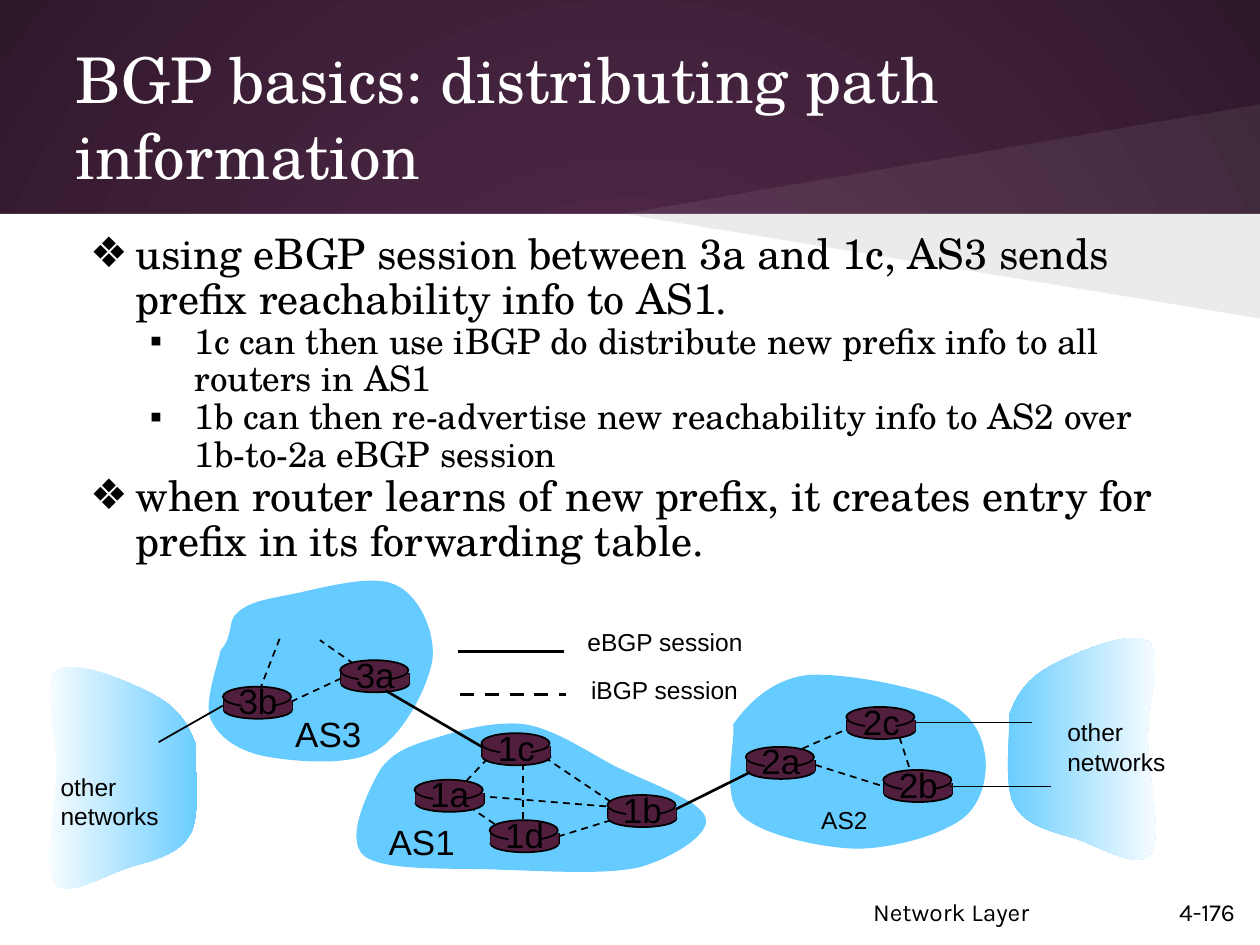
from dataclasses import dataclass

from lxml import etree
from pptx import Presentation, oxml
from pptx.dml import color
from pptx.enum import dml, shapes, text
from pptx.oxml import ns
from pptx.util import Pt


@dataclass(frozen=True)
class Theme:
    plum: str = "592D50"
    night: str = "30182B"
    router: str = "511E3E"
    sky: str = "66CCFF"
    white: str = "FFFFFF"
    black: str = "000000"
    serif: str = "TeX Gyre Schola"
    sans: str = "Arial"
    footer: str = "Karla"
    title_size: int = 36
    body_sizes: tuple = (24, 20)
    label_size: int = 20
    small_size: int = 14


THEME = Theme()

# Outlines: a start point, then three points for each Bezier curve
CLOUD = [(5, 68), (11, 52), (19, 40), (37, 30), (55, 20), (102, 0), (115, 10),
         (128, 19), (114, 60), (115, 88), (115, 117), (127, 166), (117, 179),
         (108, 192), (77, 173), (59, 167), (40, 161), (18, 157), (9, 140),
         (0, 124), (6, 83), (5, 68)]
AS1 = [(28, 40), (38, 24), (55, 19), (75, 13), (94, 7), (121, 0), (144, 3),
       (167, 7), (189, 22), (213, 35), (236, 47), (284, 63), (287, 77),
       (291, 90), (260, 109), (234, 116), (207, 122), (163, 119), (127, 118),
       (91, 116), (33, 120), (16, 107), (0, 94), (19, 56), (28, 40)]
AS2 = [(10, 42), (21, 26), (40, 7), (67, 3), (94, 0), (148, 11), (172, 20),
       (196, 30), (206, 46), (209, 62), (213, 78), (209, 104), (192, 117),
       (175, 130), (137, 141), (107, 141), (78, 140), (32, 130), (16, 114),
       (0, 98), (12, 57), (10, 42)]
AS3 = [(13, 62), (24, 49), (18, 38), (27, 31), (36, 23), (48, 21), (68, 17),
       (89, 13), (132, 0), (151, 9), (170, 17), (183, 46), (181, 68),
       (178, 90), (158, 129), (136, 142), (114, 155), (68, 150), (47, 146),
       (25, 141), (11, 130), (5, 116), (0, 102), (11, 73), (13, 62)]


def rgb(value):
    return color.RGBColor.from_string(value)


def paint(shape, fill, line=None, alpha=None):
    shape.shadow.inherit = False
    shape.fill.solid()
    shape.fill.fore_color.rgb = rgb(fill)
    if alpha:
        solid = shape.element.spPr.find(ns.qn("a:solidFill"))
        etree.SubElement(solid[0], ns.qn("a:alpha"), val=str(alpha * 1000))
    if line:
        shape.line.color.rgb = rgb(line)
        shape.line.width = Pt(1)
    else:
        shape.line.fill.background()


def add_preset(parent, kind, box, fill, line=None):
    shape = parent.shapes.add_shape(kind, *map(Pt, box))
    paint(shape, fill, line)


def add_polygon(slide, points):
    points = [(Pt(x), Pt(y)) for x, y in points]
    builder = slide.shapes.build_freeform(*points[0])
    builder.add_line_segments(points[1:])
    return builder.convert_to_shape()


def add_blob(slide, box, outline, mirrored=False):
    """Draw the Bezier outline, stretched to fill the box."""
    left, top, width, height = box
    grid = [max(axis) for axis in zip(*outline)]
    if mirrored:
        outline = [(grid[0] - x, y) for x, y in outline]
    shape = add_polygon(slide, [(left + x * width / grid[0], top + y * height / grid[1])
                                for x, y in outline])
    # Join each three straight segments into one curve
    segments = list(shape.element.iter(ns.qn("a:lnTo")))
    for first in range(0, len(outline) - 1, 3):
        curve = etree.Element(ns.qn("a:cubicBezTo"))
        segments[first].addprevious(curve)
        for segment in segments[first:first + 3]:
            curve.append(segment[0])
            segment.getparent().remove(segment)
    return shape


def add_line(parent, start, end, width=1, dashed=False, origin=(0, 0)):
    ends = [Pt(value + shift) for point in (start, end)
            for value, shift in zip(point, origin)]
    line = parent.shapes.add_connector(shapes.MSO_CONNECTOR.STRAIGHT, *ends)
    line.line.color.rgb = rgb(THEME.black)
    line.line.width = Pt(width)
    if dashed:
        line.line.dash_style = dml.MSO_LINE.DASH
    etree.SubElement(line.element.spPr, ns.qn("a:effectLst"))


def style(font, name, size, ink):
    font.name, font.size, font.color.rgb = name, Pt(size), rgb(ink)


def add_label(parent, box, lines, size=THEME.small_size, name=THEME.sans, align=None):
    frame = parent.shapes.add_textbox(*map(Pt, box)).text_frame
    frame.word_wrap = False
    frame.auto_size = text.MSO_AUTO_SIZE.SHAPE_TO_FIT_TEXT
    for index, line in enumerate(lines):
        paragraph = frame.add_paragraph() if index else frame.paragraphs[0]
        paragraph.alignment = align
        run = paragraph.add_run()
        run.text = line
        style(run.font, name, size, THEME.black)


def place_placeholder(placeholder, box):
    tree = placeholder.element.getparent()
    tree.append(placeholder.element)  # bring in front of the backdrop
    placeholder.left, placeholder.top, placeholder.width, placeholder.height = map(Pt, box)
    frame = placeholder.text_frame
    frame.auto_size = text.MSO_AUTO_SIZE.NONE
    frame.margin_left = frame.margin_right = frame.margin_top = frame.margin_bottom = Pt(7.2)
    return frame


def draw_backdrop(slide, box):
    left, top, width, height = box
    # Radial background
    fill = slide.background.fill
    fill.gradient()
    for stop, ink in zip(fill.gradient_stops, (THEME.plum, THEME.night)):
        stop.color.rgb = rgb(ink)
    linear = next(slide.element.iter(ns.qn("a:lin")))
    linear.getparent().replace(linear, oxml.parse_xml(
        f'<a:path {ns.nsdecls("a")} path="circle">'
        '<a:fillToRect l="50000" t="50000" r="50000" b="50000"/></a:path>'))
    # White panel and the two light beams
    add_preset(slide, shapes.MSO_SHAPE.RECTANGLE, box, THEME.white)
    for rise, ink, alpha in ((-62.6, THEME.white, 7), (59.8, THEME.black, 8)):
        beam = add_polygon(slide, [(left + 356.4, top), (left + width, top + rise),
                                   (left + width, top)])
        paint(beam, ink, alpha=alpha)


def write_title(slide, box, title):
    frame = place_placeholder(slide.shapes.title, box)
    frame.vertical_anchor = text.MSO_ANCHOR.MIDDLE
    paragraph = frame.paragraphs[0]
    paragraph.alignment = text.PP_ALIGN.LEFT
    run = paragraph.add_run()
    run.text = title
    style(run.font, THEME.serif, THEME.title_size, THEME.white)


def write_bullets(slide, box, items):
    frame = place_placeholder(slide.placeholders[1], box)
    frame.vertical_anchor = text.MSO_ANCHOR.TOP
    for index, (level, words) in enumerate(items):
        paragraph = frame.add_paragraph() if index else frame.paragraphs[0]
        paragraph.level = level
        paragraph.space_before = Pt(0)
        paragraph.line_spacing = 0.9
        mark, margin, hanging = (("❖", 34.2, 25.9), ("▪", 68, 25.5))[level]
        properties = paragraph._p.get_or_add_pPr()
        properties.set("marL", str(Pt(margin)))
        properties.set("indent", str(-Pt(hanging)))
        ink = etree.SubElement(properties, ns.qn("a:buClr"))
        etree.SubElement(ink, ns.qn("a:srgbClr"), val=THEME.black)
        etree.SubElement(properties, ns.qn("a:buChar"), char=mark)
        run = paragraph.add_run()
        run.text = words
        style(run.font, THEME.serif, THEME.body_sizes[level], THEME.black)


def draw_router(slide, corner, name):
    x, y = corner
    group = slide.shapes.add_group_shape()
    oval, block = shapes.MSO_SHAPE.OVAL, shapes.MSO_SHAPE.RECTANGLE
    add_preset(group, oval, (x + 0.5, y + 8.3, 39, 10), THEME.router, THEME.black)
    for side in (0.5, 39.5):
        add_line(group, (x + side, y + 7.5), (x + side, y + 13.7))
    add_preset(group, block, (x + 0.5, y + 7.5, 39, 6.5), THEME.router)
    add_preset(group, oval, (x, y, 39, 11.5), THEME.router, THEME.black)
    add_preset(group, block, (x + 10.8, y + 1.5, 17.5, 15), THEME.router)
    add_label(group, (x + 1.8, y - 7.5, 36.5, 31), [name], THEME.label_size,
              align=text.PP_ALIGN.CENTER)


def draw_system(slide, box, outline, name, name_at, name_size, sessions, routers):
    """Autonomous system: area, name, iBGP sessions and routers."""
    left, top = box[:2]
    paint(add_blob(slide, box, outline), THEME.sky)
    add_label(slide, (left + name_at[0], top + name_at[1], 52.6, 31), [name], name_size)
    for start, end in sessions:
        add_line(slide, start, end, dashed=True, origin=(left, top))
    for router, (x, y) in routers.items():
        draw_router(slide, (left + x, top + y), router)


def draw_other_networks(slide, box, label_at, mirrored=False):
    cloud = add_blob(slide, box, CLOUD, mirrored)
    paint(cloud, THEME.sky)
    cloud.fill.gradient()
    cloud.fill.gradient_angle = 0
    inks = (THEME.white, THEME.sky) if mirrored else (THEME.sky, THEME.white)
    for stop, ink in zip(cloud.fill.gradient_stops, inks):
        stop.color.rgb = rgb(ink)
    add_label(slide, (box[0] + label_at[0], box[1] + label_at[1], 70.6, 41),
              ["other", "networks"])


def draw_legend(slide, box):
    left, top = box[:2]
    for row, (name, shift) in enumerate((("eBGP session", 0), ("iBGP session", 1.5))):
        y = top + row * 24.6 + 17.2
        add_line(slide, (left + shift, y), (left + shift + 60.5, y), 2, dashed=row == 1)
        add_label(slide, (left + 67 + shift * 1.4, top + row * 27.4, 103 - row * 4.4, 24), [name])


def write_footer(slide, box):
    left, top, width, height = box
    add_label(slide, (left, top, 150, height), ["Network Layer"], name=THEME.footer)
    add_label(slide, (left + width - 53.3, top, 53.3, height), ["4-176"], name=THEME.footer)


def main():
    presentation = Presentation()
    presentation.slide_width, presentation.slide_height = Pt(720), Pt(540)
    slide = presentation.slides.add_slide(presentation.slide_layouts[1])
    draw_backdrop(slide, (0, 122.2, 720, 417.8))
    write_title(slide, (36, 21.6, 648, 90), "BGP basics: distributing path information")
    write_bullets(slide, (36, 126, 648, 391), [
        (0, "using eBGP session between 3a and 1c, AS3 sends prefix reachability info to AS1."),
        (1, "1c can then use iBGP do distribute new prefix info to all routers in AS1"),
        (1, "1b can then re-advertise new reachability info to AS2 over 1b-to-2a eBGP session"),
        (0, "when router learns of new prefix, it creates entry for prefix in its forwarding table."),
    ])
    write_footer(slide, (491.8, 509, 228.2, 22))
    # Network diagram
    draw_other_networks(slide, (573.1, 359.3, 92.2, 138.2), (29.7, 47))
    draw_other_networks(slide, (23, 375.8, 92.2, 138.2), (4.5, 61.8), mirrored=True)
    draw_system(slide, (116.6, 327.6, 132.1, 110.9), AS3, "AS3", (45, 75.9), THEME.label_size,
                [((49.7, 73.4), (80.6, 59)), ((85.7, 51.8), (66.2, 38.2)),
                 ((43.2, 37.4), (31.7, 67))],
                {"3b": (10.8, 64.8), "3a": (77.8, 49.7)})
    draw_system(slide, (196.6, 411.8, 209.5, 88.2), AS1, "AS1", (18.4, 53.6), THEME.label_size,
                [((82.1, 21.6), (69.8, 34.6)), ((102.2, 24.5), (102.2, 60.5)),
                 ((114.5, 20.9), (154.1, 47.5)), ((152.6, 56.9), (122.4, 66.2)),
                 ((149.8, 49), (78.5, 43.2)), ((71.3, 49), (87.1, 59.8))],
                {"1c": (78.5, 7.2), "1a": (40.3, 33.8), "1d": (83.2, 56.9), "1b": (150.5, 42.5)})
    draw_system(slide, (411.8, 383.8, 153.4, 101.2), AS2, "AS2", (50.4, 72.7), THEME.small_size,
                [((40.3, 46.8), (74.9, 31.7)), ((54, 53.3), (92.9, 65.5)),
                 ((102.2, 37.4), (108, 55.4))],
                {"2a": (14.4, 43), "2c": (71.8, 20.2), "2b": (92.9, 56.2)})
    # eBGP sessions and links to other networks
    for start, end, width in (((386.6, 462.2), (428.4, 441.4), 1.5),
                              ((220.3, 394.6), (275.8, 427), 1.5),
                              ((127.4, 403.2), (90.7, 424.1), 1),
                              ((522.7, 412.8), (589.7, 412.8), 0.75),
                              ((542.2, 449.3), (600.5, 449.3), 0.75)):
        add_line(slide, start, end, width)
    draw_legend(slide, (261.6, 355, 170, 51))
    presentation.save("out.pptx")


if __name__ == "__main__":
    main()
